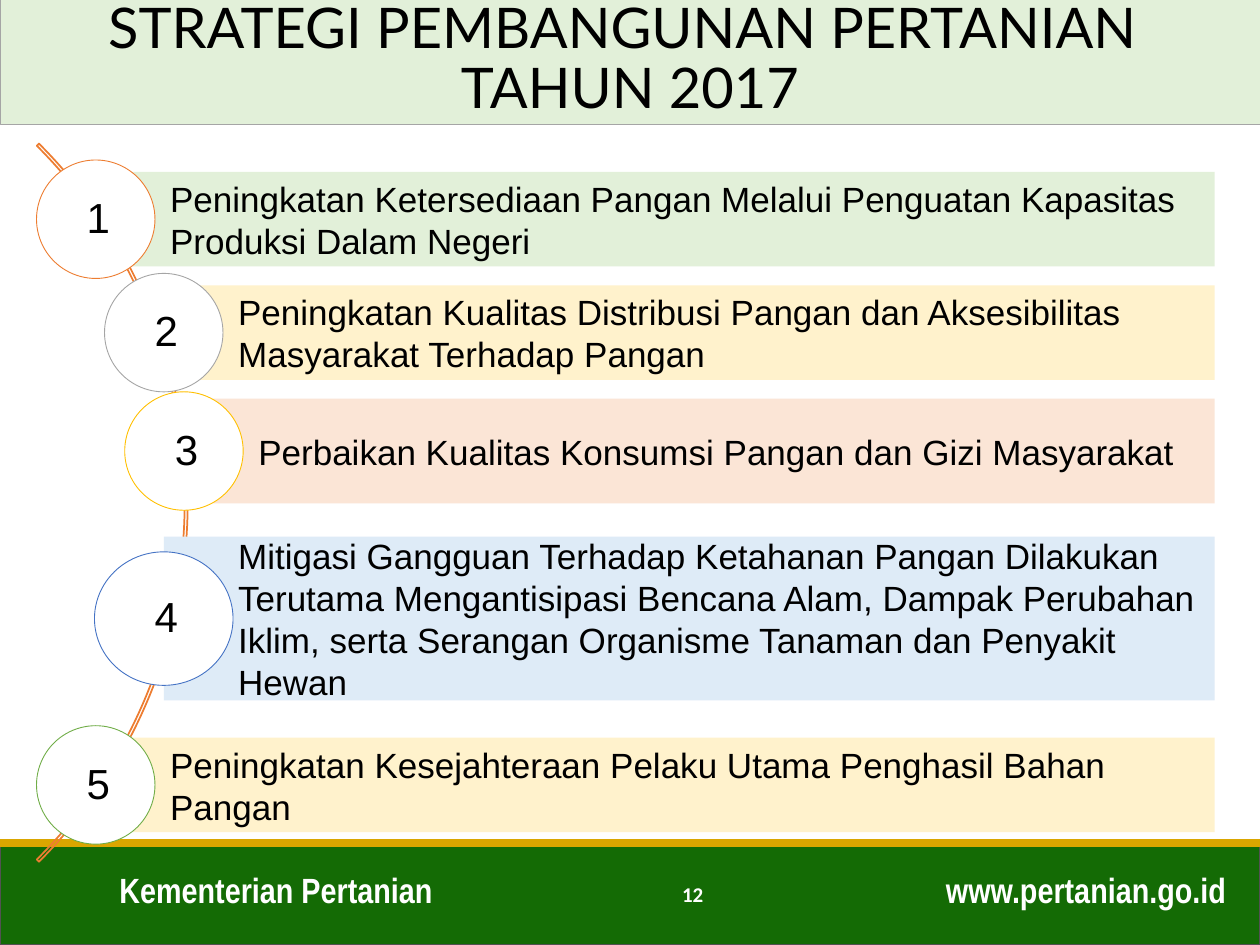
from lxml.etree import SubElement
from pptx import Presentation
from pptx.dml.color import RGBColor
from pptx.enum.shapes import MSO_CONNECTOR, MSO_SHAPE
from pptx.enum.text import MSO_ANCHOR as ANCHOR, PP_ALIGN as ALIGN
from pptx.oxml.ns import qn
from pptx.util import Inches, Pt

COLUMNS, ROWS = 100, 75
CELL = Inches(0.1)
BAR_RIGHT = 96.4
FOOTER_TOP = 66.9

# text, bar colour, ring colour, centre column, centre row, bar height, circle size
STRATEGIES = [
    ("Peningkatan Ketersediaan Pangan Melalui Penguatan Kapasitas Produksi Dalam Negeri",
     "E2F0D9", "ED7D31", 7.6, 17.4, 7.5, (9.4, 9.4)),
    ("Peningkatan Kualitas Distribusi Pangan dan Aksesibilitas Masyarakat Terhadap Pangan",
     "FFF2CC", "A5A5A5", 13, 26.4, 7.5, (9.4, 9.4)),
    ("Perbaikan Kualitas Konsumsi Pangan dan Gizi Masyarakat",
     "FBE5D6", "FFC000", 14.6, 35.8, 8.3, (9.4, 9.4)),
    ("Mitigasi Gangguan Terhadap Ketahanan Pangan Dilakukan Terutama Mengantisipasi "
     "Bencana Alam, Dampak Perubahan Iklim, serta Serangan Organisme Tanaman dan "
     "Penyakit Hewan",
     "DEEBF7", "4472C4", 13, 49.1, 13, (11, 10.6)),
    ("Peningkatan Kesejahteraan Pelaku Utama Penghasil Bahan Pangan",
     "FFF2CC", "70AD47", 7.6, 62.3, 7.5, (9.4, 9.4)),
]


def cells(*counts):
    """Turn numbers of grid cells into lengths."""
    return [round(count * CELL) for count in counts]


def color(value):
    return RGBColor.from_string(value)


def set_line(line, value, width):
    line.color.rgb = color(value)
    line.width = Pt(width)


def add_shape(slide, kind, box, fill=None, line=None, width=1):
    shape = slide.shapes.add_shape(kind, *cells(*box))
    shape.shadow.inherit = False
    if fill:
        shape.fill.solid()
        shape.fill.fore_color.rgb = color(fill)
    else:
        shape.fill.background()
    if line:
        set_line(shape.line, line, width)
    else:
        shape.line.fill.background()
    return shape


def write(shape, text, size, font, value="000000", bold=False, align=ALIGN.LEFT,
          anchor=ANCHOR.MIDDLE, margins=(1, 0.5, 1, 0.5)):
    """Fill a shape with one paragraph; margins are left, top, right, bottom."""
    frame = shape.text_frame
    frame.word_wrap = True
    frame.vertical_anchor = anchor
    (frame.margin_left, frame.margin_top,
     frame.margin_right, frame.margin_bottom) = cells(*margins)
    frame.text = text
    paragraph = frame.paragraphs[0]
    paragraph.alignment = align
    paragraph.font.size = Pt(size)
    paragraph.font.name = font
    paragraph.font.bold = bold
    paragraph.font.color.rgb = color(value)
    return paragraph


def add_label(slide, box, text, size, font, **style):
    label = slide.shapes.add_textbox(*cells(*box))
    write(label, text, size, font, value="FFFFFF", bold=True, **style)


def add_title(slide):
    title = slide.shapes.title
    title.left, title.top, title.width, title.height = cells(0, -0.3, COLUMNS, 10.2)
    title.fill.solid()
    title.fill.fore_color.rgb = color("E2F0D9")
    set_line(title.line, "A5A5A5", 0.5)
    paragraph = write(title, "STRATEGI PEMBANGUNAN PERTANIAN \vTAHUN 2017", 32, "Lato",
                      align=ALIGN.CENTER)
    paragraph.line_spacing = 0.9


def add_footer(slide):
    add_shape(slide, MSO_SHAPE.RECTANGLE, (0, FOOTER_TOP, COLUMNS, ROWS - FOOTER_TOP),
              "146B05", "525252")
    add_label(slide, (8.5, 68.4, 36.6, 4.4), "Kementerian Pertanian", 20, "Arial Narrow",
              anchor=ANCHOR.TOP)
    add_label(slide, (70.5, 68.4, 27.8, 4.4), "www.pertanian.go.id", 20, "Arial Narrow",
              align=ALIGN.RIGHT, anchor=ANCHOR.TOP)
    add_label(slide, (34.3, 69, 22.5, 4), "12", 12, "Calibri", align=ALIGN.RIGHT)
    rule = slide.shapes.add_connector(
        MSO_CONNECTOR.STRAIGHT, *cells(0, FOOTER_TOP, COLUMNS, FOOTER_TOP))
    set_line(rule.line, "DAA600", 4.5)
    SubElement(rule._element.spPr, qn("a:effectLst"))


def add_arc(slide):
    arc = add_shape(slide, MSO_SHAPE.BLOCK_ARC, (-65.7, -0.4, 80.6, 80.6), line="ED7D31")
    for index, value in enumerate((189, 27, 0.003)):  # start, end, thickness
        arc.adjustments[index] = value


def add_strategy(slide, number, text, fill, ring, column, row, height, circle_size):
    bar = add_shape(slide, MSO_SHAPE.RECTANGLE,
                    (column, row - height / 2, BAR_RIGHT - column, height), fill)
    write(bar, text, 20, "Arial", margins=(5.9, 0.6, 0.6, 0.6))
    width, depth = circle_size
    circle = add_shape(slide, MSO_SHAPE.OVAL,
                       (column - width / 2, row - depth / 2, width, depth),
                       "FFFFFF", ring, 0.5)
    write(circle, str(number), 24, "Arial", align=ALIGN.CENTER, margins=(0.4, 0, 0, 0.4))


def main():
    presentation = Presentation()
    presentation.slide_width, presentation.slide_height = cells(COLUMNS, ROWS)
    title_only = presentation.slide_layouts[5]
    slide = presentation.slides.add_slide(title_only)
    add_title(slide)
    add_footer(slide)
    add_arc(slide)
    for number, strategy in enumerate(STRATEGIES, start=1):
        add_strategy(slide, number, *strategy)
    presentation.save("out.pptx")


if __name__ == "__main__":
    main()
